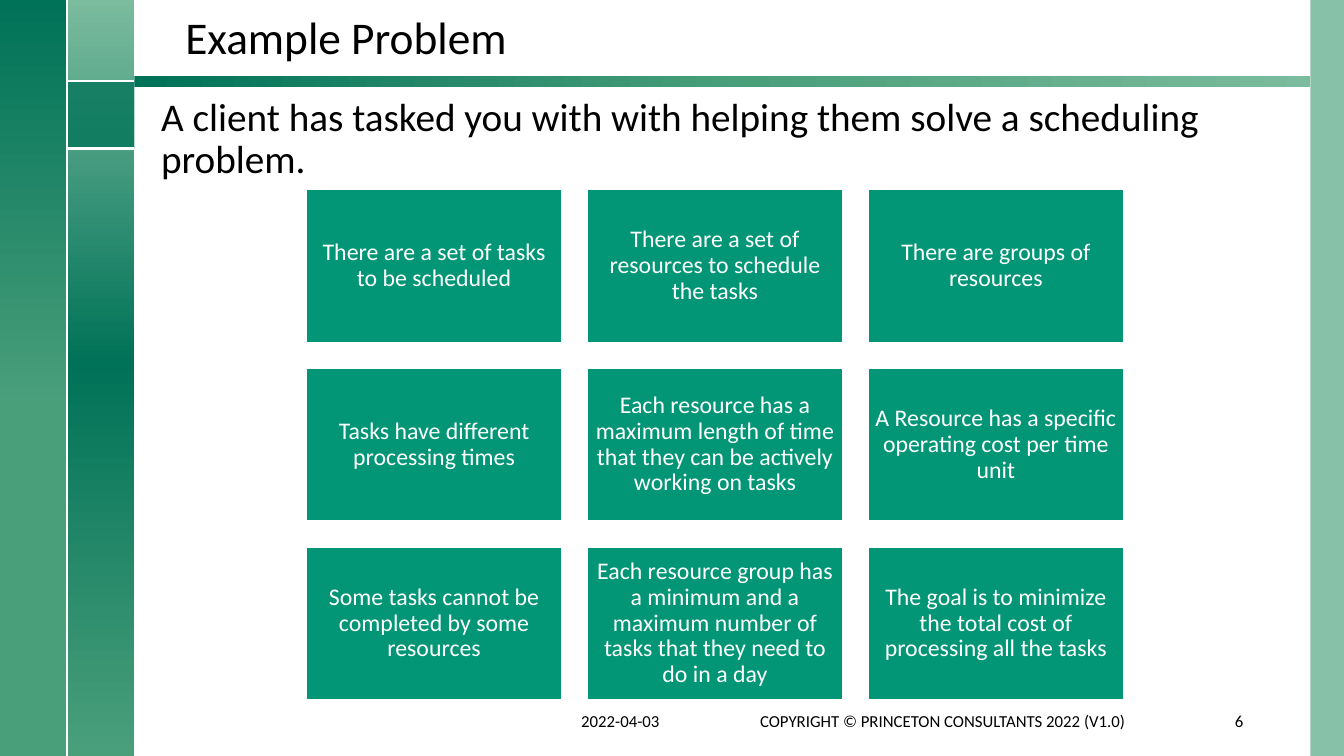
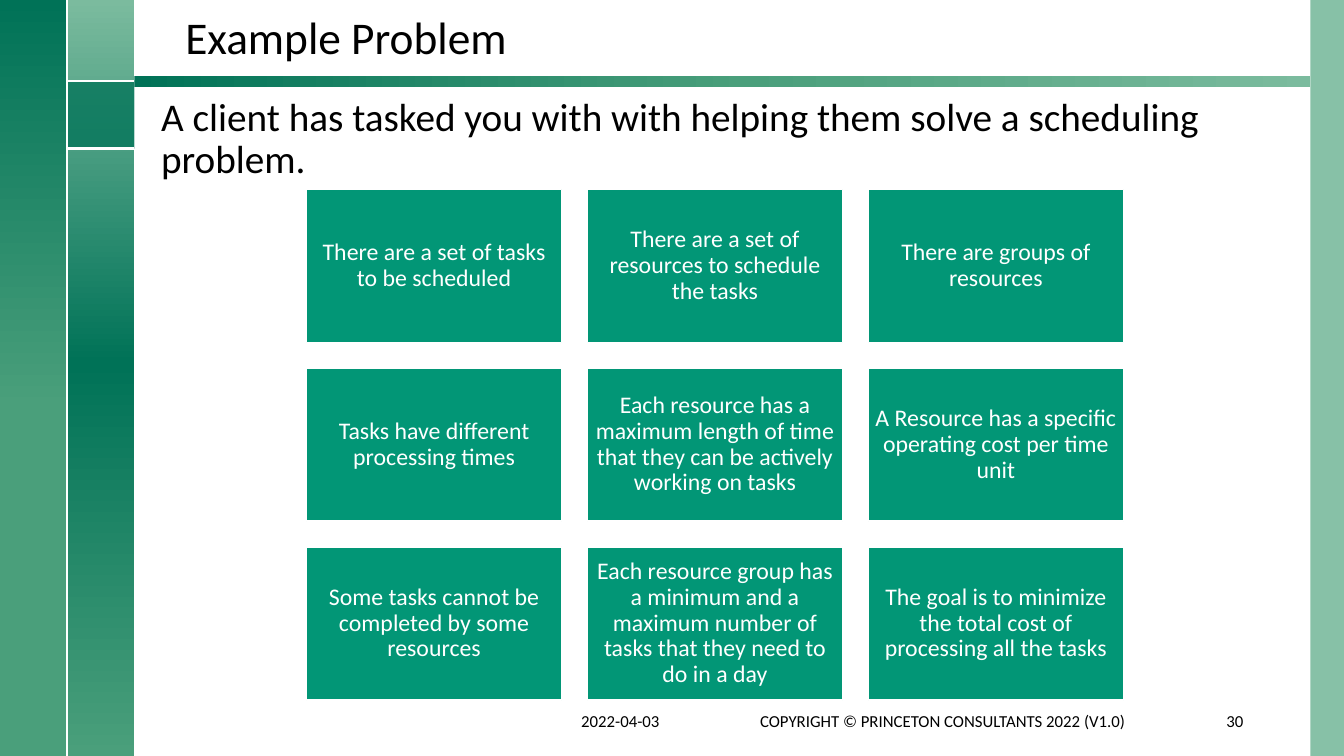
import lxml.etree
import pptx
import pptx.dml.color
import pptx.enum.shapes
import pptx.enum.text
import pptx.oxml.ns
import pptx.util

ALIGN = pptx.enum.text.PP_ALIGN
ANCHOR = pptx.enum.text.MSO_ANCHOR
qn = pptx.oxml.ns.qn

# Palette
DARK, MIDDLE, LIGHT = "007257", "4A9F7B", "7BBB9E"
TILE, WHITE, BLACK = "029676", "FFFFFF", "000000"

# Wording
TITLE = "Example Problem"
INTRO = "A client has tasked you with with helping them solve a scheduling problem."
DATE = "2022-04-03"
COPYRIGHT = "COPYRIGHT © PRINCETON CONSULTANTS 2022 (V1.0)"
FACTS = [
    "There are a set of tasks to be scheduled",
    "There are a set of resources to schedule the tasks",
    "There are groups of resources",
    "Tasks have different processing times",
    "Each resource has a maximum length of time that they can be actively working on tasks",
    "A Resource has a specific operating cost per time unit",
    "Some tasks cannot be completed by some resources",
    "Each resource group has a minimum and a maximum number of tasks "
    "that they need to do in a day",
    "The goal is to minimize the total cost of processing all the tasks",
]


def color(code):
    return pptx.dml.color.RGBColor.from_string(code)


class Painter:
    """Holds the style and the current page; lengths are columns and rows."""

    FONT = "Calibri"
    COLUMNS, ROWS = 20, 20

    def __init__(self):
        self.deck = pptx.Presentation()
        self.deck.slide_width = pptx.util.Inches(13.333)
        self.deck.slide_height = pptx.util.Inches(7.5)
        self.page = None

    def new_page(self):
        self.page = self.deck.slides.add_slide(self.deck.slide_layouts[6])

    def x(self, columns):
        return round(self.deck.slide_width * columns / self.COLUMNS)

    def y(self, rows):
        return round(self.deck.slide_height * rows / self.ROWS)

    def place(self, left, top, width, height):
        return self.x(left), self.y(top), self.x(width), self.y(height)

    def fill_text(self, box, text, size, ink=BLACK, align=ALIGN.LEFT,
                  anchor=ANCHOR.MIDDLE, spacing=1.0):
        frame = box.text_frame
        frame.word_wrap = True
        frame.vertical_anchor = anchor
        frame.text = text
        para = frame.paragraphs[0]
        para.alignment = align
        para.line_spacing = spacing
        font = para.runs[0].font
        font.name, font.size = self.FONT, pptx.util.Pt(size)
        font.color.rgb = color(ink)

    def text(self, area, text, size, **style):
        box = self.page.shapes.add_textbox(*self.place(*area))
        self.fill_text(box, text, size, **style)

    def rectangle(self, area, fill=None, opacity=100):
        box = self.page.shapes.add_shape(
            pptx.enum.shapes.MSO_SHAPE.RECTANGLE, *self.place(*area))
        box.shadow.inherit = False
        box.line.fill.background()
        if fill:
            box.fill.solid()
            box.fill.fore_color.rgb = color(fill)
        if opacity < 100:
            paint = box.element.spPr.find(qn("a:solidFill"))[0]
            lxml.etree.SubElement(paint, qn("a:alpha"), val=str(opacity * 1000))
        return box

    def gradient(self, area, stops, angle):
        """Stops are (percent, colour) pairs; the angle runs clockwise."""
        box = self.rectangle(area)
        box.fill.gradient()
        box.fill.gradient_angle = (360 - angle) % 360
        stop_list = box.element.spPr.find(qn("a:gradFill")).find(qn("a:gsLst"))
        for stop in list(stop_list):
            stop_list.remove(stop)
        for percent, code in stops:
            stop = lxml.etree.SubElement(stop_list, qn("a:gs"), pos=str(percent * 1000))
            lxml.etree.SubElement(stop, qn("a:srgbClr"), val=code)

    def line(self, start, end):
        line = self.page.shapes.add_connector(
            pptx.enum.shapes.MSO_CONNECTOR.STRAIGHT,
            self.x(start[0]), self.y(start[1]), self.x(end[0]), self.y(end[1]))
        line.line.color.rgb = color(WHITE)
        line.line.width = pptx.util.Pt(1.5)
        lxml.etree.SubElement(line.element.spPr, qn("a:effectLst"))

    def tile(self, area, text):
        box = self.rectangle(area, TILE)
        box.line.color.rgb = color(WHITE)
        box.line.width = pptx.util.Pt(1)
        frame = box.text_frame
        frame.margin_left = frame.margin_right = pptx.util.Inches(0.07)
        frame.margin_top = frame.margin_bottom = pptx.util.Inches(0.07)
        self.fill_text(box, text, 17, ink=WHITE, align=ALIGN.CENTER, spacing=0.9)

    def tiles(self, texts, across=3):
        left, top, width, height = 4.56, 5.01, 3.8, 4.05
        column_step, row_step = 4.18, 4.73
        for index, text in enumerate(texts):
            row, column = divmod(index, across)
            self.tile((left + column * column_step, top + row * row_step,
                       width, height), text)

    def bands(self):
        self.rectangle((19.5, 0, 0.5, self.ROWS), LIGHT, opacity=90)
        self.gradient((1, 0, 1, self.ROWS),
                      [(0, LIGHT), (48, DARK), (100, MIDDLE)], 90)
        self.gradient((0, 0, 1, self.ROWS),
                      [(0, DARK), (54, MIDDLE), (100, MIDDLE)], 90)
        square_top, square_height = 2.15, 1.78
        self.rectangle((1, square_top, 1, square_height), DARK, opacity=75)
        for edge in (square_top, square_top + square_height):
            self.line((1, edge), (2, edge))
        self.line((1, 0), (1, self.ROWS))
        self.gradient((2, 2, 17.5, 0.3),
                      [(0, DARK), (52, MIDDLE), (100, LIGHT)], 0)

    def footer(self, number):
        for left, width, text, align in (
                (8.5, 2, DATE, ALIGN.LEFT),
                (10.74, 6.58, COPYRIGHT, ALIGN.CENTER),
                (17.65, 1, str(number), ALIGN.RIGHT)):
            self.text((left, 18.53, width, 1.07), text, 12, align=align)


def main():
    painter = Painter()
    # The same problem statement appears on both numbered pages
    for number in (6, 30):
        painter.new_page()
        painter.bands()
        painter.text((2.61, 0.21, 16.05, 1.63), TITLE, 32.4,
                     anchor=ANCHOR.BOTTOM, spacing=0.9)
        painter.text((2.25, 2.45, 16.05, 3.33), INTRO, 28,
                     anchor=ANCHOR.TOP, spacing=0.9)
        painter.footer(number)
        painter.tiles(FACTS)
    painter.deck.save("out.pptx")


if __name__ == "__main__":
    main()
